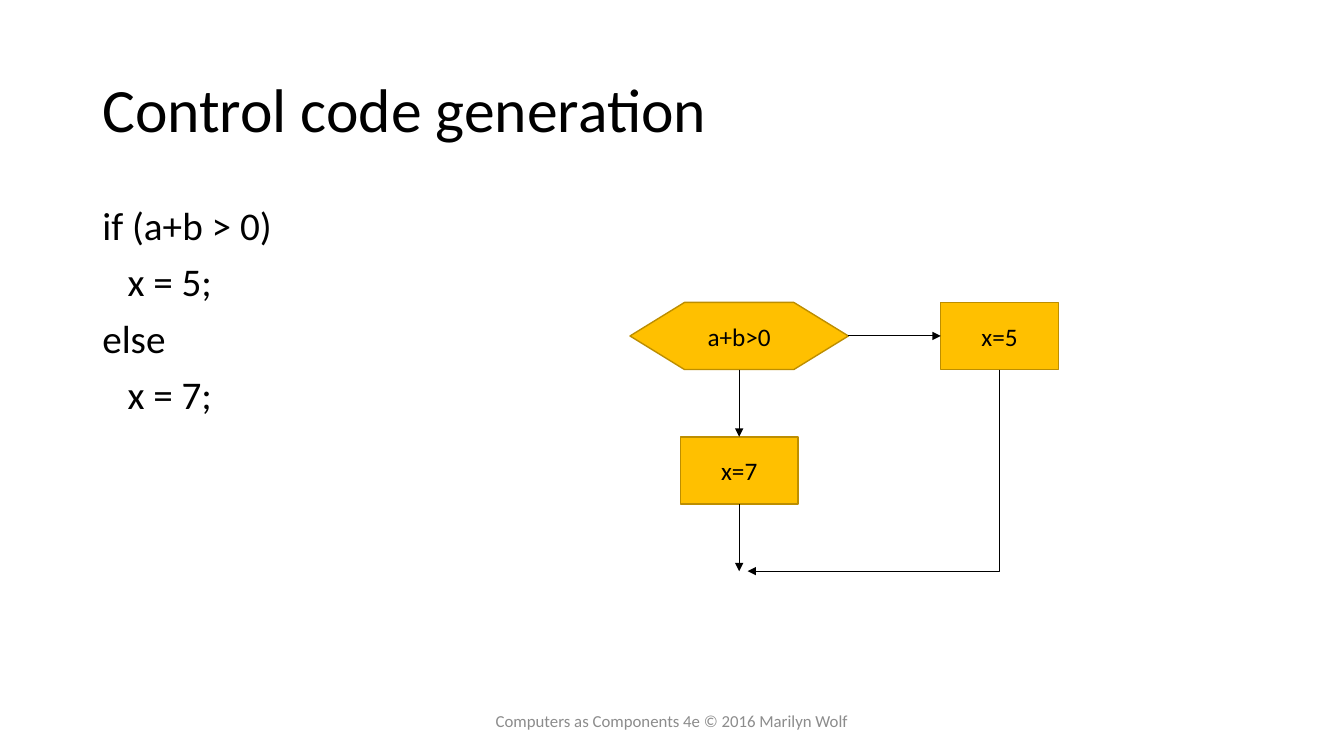
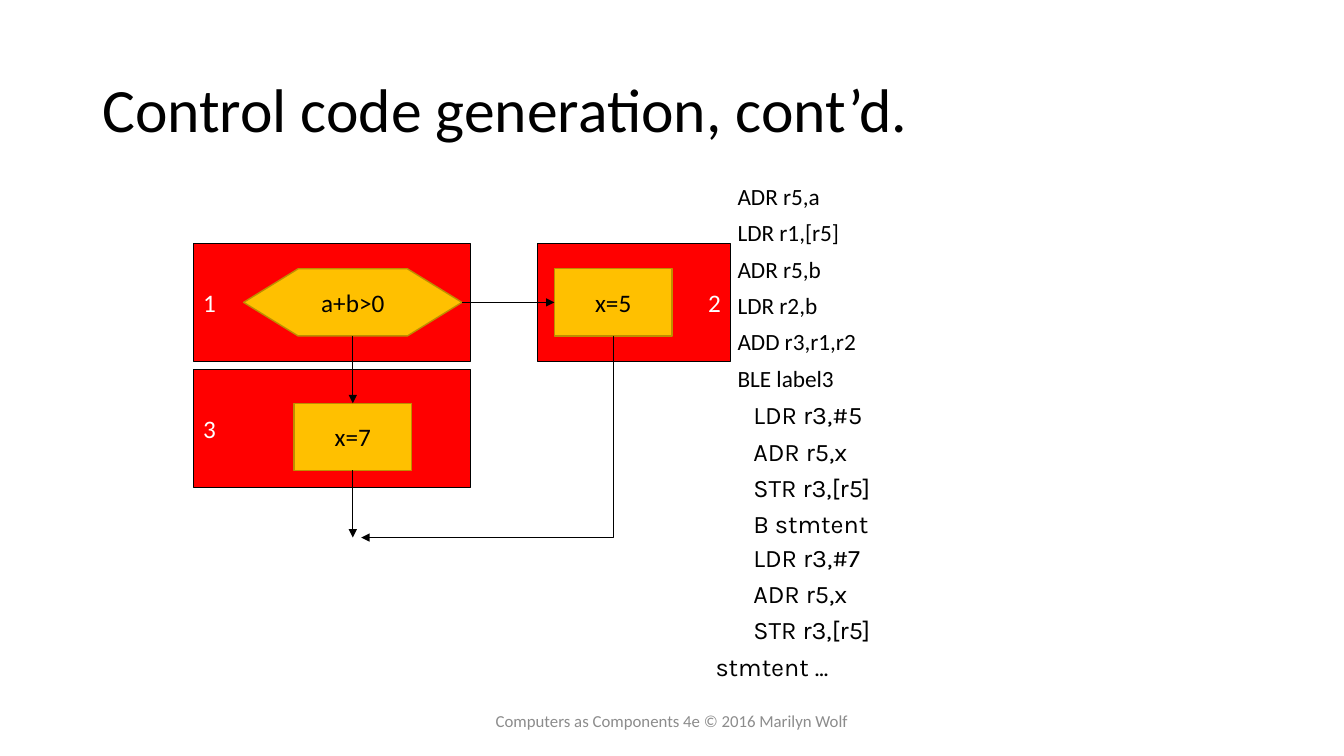
from lxml import etree
from pptx import Presentation
from pptx.dml.color import RGBColor
from pptx.enum.shapes import MSO_CONNECTOR, MSO_SHAPE
from pptx.enum.text import MSO_ANCHOR, PP_ALIGN
from pptx.oxml.ns import qn
from pptx.util import Pt

RECTANGLE, HEXAGON = MSO_SHAPE.RECTANGLE, MSO_SHAPE.HEXAGON
STRAIGHT, ELBOW = MSO_CONNECTOR.STRAIGHT, MSO_CONNECTOR.ELBOW
TOP, MIDDLE = MSO_ANCHOR.TOP, MSO_ANCHOR.MIDDLE
LEFT, CENTER, RIGHT = PP_ALIGN.LEFT, PP_ALIGN.CENTER, PP_ALIGN.RIGHT

EMU_PER_PX = 9525
SLIDE_SIZE = (1280, 720)

THEME = {
    "ink": "000000",
    "node": {"fill": "FFC000", "line": "BD8E00", "line_width": 1},
    "block": {"fill": "FF0000", "line": "000000", "line_width": 0.75},
    "arrow_width": 0.75,
    "hexagon_point": 0.812,
}

# Text styles: paragraph values and font values
STYLES = {
    "title": {"font": "Calibri", "size": 44, "color": THEME["ink"],
              "anchor": MIDDLE, "paragraph": {"line_spacing": 0.9}},
    "statement": {"font": "Calibri", "size": 28, "color": THEME["ink"],
                  "space_before": 10, "indent": 24,
                  "paragraph": {"line_spacing": 0.9}},
    "assembly": {"font": "Calibri", "size": 16.6, "color": THEME["ink"],
                 "space_before": 10, "indent": 24,
                 "paragraph": {"line_spacing": 0.8}},
    "branch": {"font": "Karla", "size": 18, "color": THEME["ink"],
               "space_before": 4.2, "indent": 36},
    "node": {"font": "Calibri", "size": 18, "color": THEME["ink"],
             "anchor": MIDDLE, "paragraph": {"alignment": CENTER}},
    "block left": {"font": "Calibri", "size": 18, "color": "FFFFFF",
                   "anchor": MIDDLE, "paragraph": {"alignment": LEFT}},
    "block right": {"font": "Calibri", "size": 18, "color": "FFFFFF",
                    "anchor": MIDDLE, "paragraph": {"alignment": RIGHT}},
    "footer": {"font": "Calibri", "size": 12, "color": "8C8C8C",
               "anchor": MIDDLE, "paragraph": {"alignment": CENTER}},
}

TITLE_BOX = (88, 38, 1104, 139)
FOOTER_BOX = (424, 667, 432, 38)
FOOTER = "Computers as Components 4e © 2016 Marilyn Wolf"

# Flowchart, measured from the top left of the test
NODE_HEIGHT = 64
TEST_WIDTH, ACTION_WIDTH = 208, 112
THEN_LEFT = 296
ELSE_TOP = 2 * NODE_HEIGHT
JOIN_TOP = 4 * NODE_HEIGHT
JOIN_GAP = 8

# Text boxes hold (indent level, line) pairs
SLIDES = [
    {
        "title": "Control code generation",
        "blocks": [],
        "flowchart": (600, 288),
        "texts": [
            ("statement", (88, 192, 544, 457),
             [(0, "if (a+b > 0)"), (1, "x = 5;"), (0, "else"), (1, "x = 7;")]),
        ],
    },
    {
        "title": "Control code generation, cont’d.",
        "blocks": [
            ("3", "block left", (184, 352, 264, 112)),
            ("2", "block right", (512, 232, 184, 112)),
            ("1", "block left", (184, 232, 264, 112)),
        ],
        "flowchart": (232, 256),
        "texts": [
            ("assembly", (669, 174, 421, 210),
             [(1, "ADR r5,a"), (1, "LDR r1,[r5]"), (1, "ADR r5,b"),
              (1, "LDR r2,b"), (1, "ADD r3,r1,r2"), (1, "BLE label3")]),
            ("branch", (672, 376, 421, 144),
             [(1, "LDR r3,#5"), (1, "ADR r5,x"), (1, "STR r3,[r5]"),
              (1, "B stmtent")]),
            ("branch", (672, 512, 421, 144),
             [(1, "LDR r3,#7"), (1, "ADR r5,x"), (1, "STR r3,[r5]"),
              (0, "stmtent ...")]),
        ],
    },
]


def px(*lengths):
    return [round(length * EMU_PER_PX) for length in lengths]


def write_lines(shape, lines, style_name):
    style = STYLES[style_name]
    frame = shape.text_frame
    frame.word_wrap = True
    frame.vertical_anchor = style.get("anchor", TOP)
    for index, (level, line) in enumerate(lines):
        paragraph = frame.add_paragraph() if index else frame.paragraphs[0]
        for name, value in style.get("paragraph", {}).items():
            setattr(paragraph, name, value)
        if index:
            paragraph.space_before = Pt(style["space_before"])
        if level:
            indent, = px(level * style["indent"])
            paragraph._p.get_or_add_pPr().set("marL", str(indent))
        run = paragraph.add_run()
        run.text = line
        run.font.name = style["font"]
        run.font.size = Pt(style["size"])
        run.font.color.rgb = RGBColor.from_string(style["color"])


def add_text(slide, box, lines, style_name):
    write_lines(slide.shapes.add_textbox(*px(*box)), lines, style_name)


def add_labelled_shape(slide, kind, box, label, look, style_name):
    shape = slide.shapes.add_shape(kind, *px(*box))
    shape.shadow.inherit = False
    shape.fill.solid()
    shape.fill.fore_color.rgb = RGBColor.from_string(look["fill"])
    shape.line.color.rgb = RGBColor.from_string(look["line"])
    shape.line.width = Pt(look["line_width"])
    write_lines(shape, [(0, label)], style_name)
    return shape


def add_arrow(slide, start, end, kind=STRAIGHT):
    connector = slide.shapes.add_connector(kind, *px(*start, *end))
    connector.line.color.rgb = RGBColor.from_string(THEME["ink"])
    connector.line.width = Pt(THEME["arrow_width"])
    line = connector.line._get_or_add_ln()
    etree.SubElement(line, qn("a:tailEnd"), type="triangle")
    etree.SubElement(connector._element.spPr, qn("a:effectLst"))
    return connector


def add_corner_arrow(slide, start, end):
    """Arrow that goes down from start, then left to end: a one-bend
    connector turned by a quarter about its centre."""
    connector = add_arrow(slide, start, end, ELBOW)
    run, drop = start[0] - end[0], end[1] - start[1]
    left = (start[0] + end[0] - drop) / 2
    top = (start[1] + end[1] - run) / 2
    properties = connector._element.spPr
    properties.find(qn("a:prstGeom")).set("prst", "bentConnector2")
    frame = properties.find(qn("a:xfrm"))
    frame.attrib.pop("flipH", None)
    frame.set("rot", "5400000")
    for name, value in zip(("left", "top", "width", "height"),
                           px(left, top, drop, run)):
        setattr(connector, name, value)


def add_flowchart(slide, left, top):
    middle = left + TEST_WIDTH // 2
    then_left = left + THEN_LEFT
    then_middle = then_left + ACTION_WIDTH // 2
    else_top = top + ELSE_TOP
    join_top = top + JOIN_TOP
    nodes = [
        (HEXAGON, "a+b>0", left, top, TEST_WIDTH),
        (RECTANGLE, "x=5", then_left, top, ACTION_WIDTH),
        (RECTANGLE, "x=7", middle - ACTION_WIDTH // 2, else_top, ACTION_WIDTH),
    ]
    for kind, label, node_left, node_top, width in nodes:
        node = add_labelled_shape(slide, kind,
                                  (node_left, node_top, width, NODE_HEIGHT),
                                  label, THEME["node"], "node")
        if kind == HEXAGON:
            node.adjustments[0] = THEME["hexagon_point"]

    row_middle = top + NODE_HEIGHT // 2
    add_arrow(slide, (left + TEST_WIDTH, row_middle), (then_left, row_middle))
    add_arrow(slide, (middle, top + NODE_HEIGHT), (middle, else_top))
    add_arrow(slide, (middle, else_top + NODE_HEIGHT), (middle, join_top))
    add_corner_arrow(slide, (then_middle, top + NODE_HEIGHT),
                     (middle + JOIN_GAP, join_top))


def main():
    presentation = Presentation()
    presentation.slide_width, presentation.slide_height = px(*SLIDE_SIZE)
    blank_layout = presentation.slide_layouts[6]
    for content in SLIDES:
        slide = presentation.slides.add_slide(blank_layout)
        for label, style_name, box in content["blocks"]:
            add_labelled_shape(slide, RECTANGLE, box, label,
                               THEME["block"], style_name)
        add_text(slide, TITLE_BOX, [(0, content["title"])], "title")
        add_flowchart(slide, *content["flowchart"])
        for style_name, box, lines in content["texts"]:
            add_text(slide, box, lines, style_name)
        add_text(slide, FOOTER_BOX, [(0, FOOTER)], "footer")
    presentation.save("out.pptx")


if __name__ == "__main__":
    main()
